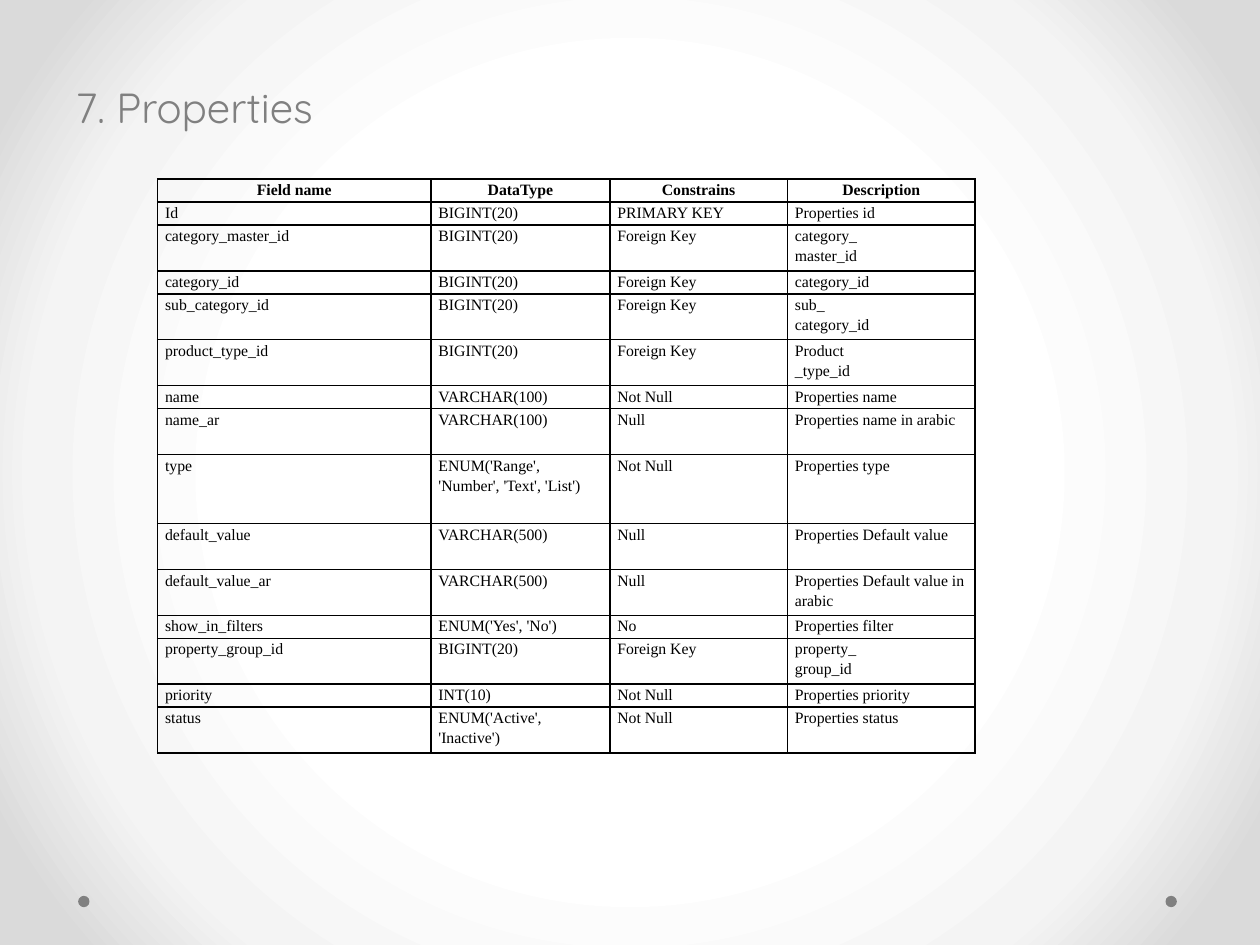
from lxml import etree
from pptx import Presentation
from pptx.dml.color import RGBColor
from pptx.enum.shapes import MSO_SHAPE
from pptx.enum.text import PP_ALIGN
from pptx.oxml.ns import qn
from pptx.util import Inches, Pt

OVAL = MSO_SHAPE.OVAL
LEFT, CENTER = PP_ALIGN.LEFT, PP_ALIGN.CENTER
TITLE_AND_CONTENT = 1

COLORS = {"center": "FFFFFF", "middle": "F4F4F4", "edge": "DADADA",
          "accent": "808080", "ink": "000000"}
FONTS = {"title": "Quicksand", "table": "Times New Roman"}
GRID_COLUMNS, GRID_ROWS = 100, 75

COLUMN_WIDTHS = [21.7, 14.2, 14.1, 14.9]
HEADER = ["Field name", "DataType", "Constrains", "Description"]
# Each field: the row's height in text lines, then its cells.
FIELDS = [
    (1, "Id", "BIGINT(20)", "PRIMARY KEY", "Properties id"),
    (2, "category_master_id", "BIGINT(20)", "Foreign Key", "category_\nmaster_id"),
    (1, "category_id", "BIGINT(20)", "Foreign Key", "category_id"),
    (2, "sub_category_id", "BIGINT(20)", "Foreign Key", "sub_\ncategory_id"),
    (2, "product_type_id", "BIGINT(20)", "Foreign Key", "Product\n_type_id"),
    (1, "name", "VARCHAR(100)", "Not Null", "Properties name"),
    (2, "name_ar", "VARCHAR(100)", "Null", "Properties name in arabic"),
    (3, "type", "ENUM('Range', 'Number', 'Text', 'List')", "Not Null", "Properties type"),
    (2, "default_value", "VARCHAR(500)", "Null", "Properties Default value"),
    (2, "default_value_ar", "VARCHAR(500)", "Null", "Properties Default value in arabic"),
    (1, "show_in_filters", "ENUM('Yes', 'No')", "No", "Properties filter"),
    (2, "property_group_id", "BIGINT(20)", "Foreign Key", "property_\ngroup_id"),
    (1, "priority", "INT(10)", "Not Null", "Properties priority"),
    (2, "status", "ENUM('Active', 'Inactive')", "Not Null", "Properties status"),
]


def write_text(frame, text, font, size, color, bold=False, align=LEFT, spacing=None):
    """Fill a text frame, one paragraph for each line of the text."""
    frame.text = text
    frame.word_wrap = True
    for paragraph in frame.paragraphs:
        paragraph.alignment = align
        paragraph.line_spacing = spacing
        for run in paragraph.runs:
            run.font.name = FONTS[font]
            run.font.size = Pt(size)
            run.font.bold = bold
            run.font.color.rgb = RGBColor.from_string(COLORS[color])


def add_element(parent, tag, **attributes):
    return etree.SubElement(parent, qn(tag), {k: str(v) for k, v in attributes.items()})


class SlideBuilder:
    def __init__(self, presentation):
        self.slide = presentation.slides.add_slide(
            presentation.slide_layouts[TITLE_AND_CONTENT])
        self.column = presentation.slide_width / GRID_COLUMNS
        self.row = presentation.slide_height / GRID_ROWS

    def box(self, left, top, width, height):
        """Turn grid columns and rows into slide lengths."""
        return (round(left * self.column), round(top * self.row),
                round(width * self.column), round(height * self.row))

    def radial_background(self, stops):
        self.slide.background.fill.gradient()
        gradient = self.slide.element.find(".//" + qn("a:gradFill"))
        for child in list(gradient):
            gradient.remove(child)
        stop_list = add_element(gradient, "a:gsLst")
        for percent, color in stops:
            stop = add_element(stop_list, "a:gs", pos=percent * 1000)
            add_element(stop, "a:srgbClr", val=COLORS[color])
        center = add_element(gradient, "a:path", path="circle")
        add_element(center, "a:fillToRect", l=50000, t=50000, r=50000, b=50000)

    def dot(self, left, top, size):
        shape = self.slide.shapes.add_shape(OVAL, *self.box(left, top, size, size))
        shape.shadow.inherit = False
        shape.fill.solid()
        shape.fill.fore_color.rgb = RGBColor.from_string(COLORS["accent"])
        shape.line.fill.background()

    def heading(self, text, *place):
        """Put the heading in the body placeholder, without a bullet."""
        title, body = self.slide.placeholders
        title.element.getparent().remove(title.element)
        body.left, body.top, body.width, body.height = self.box(*place)
        write_text(body.text_frame, text, "title", 24, "accent")
        properties = body.text_frame.paragraphs[0]._p.get_or_add_pPr()
        properties.set("marL", "0")
        properties.set("indent", "0")
        add_element(properties, "a:buNone")

    def border(self, cell):
        properties = cell._tc.get_or_add_tcPr()
        for index, side in enumerate(("a:lnL", "a:lnR", "a:lnT", "a:lnB")):
            line = etree.Element(qn(side), w=str(Pt(1)))
            fill = add_element(line, "a:solidFill")
            add_element(fill, "a:srgbClr", val=COLORS["ink"])
            properties.insert(index, line)

    def table(self, left, top, height):
        rows = [(1, *HEADER), *FIELDS]
        place = self.box(left, top, sum(COLUMN_WIDTHS), height)
        table = self.slide.shapes.add_table(len(rows), len(HEADER), *place).table
        table.first_row = table.horz_banding = False
        for column, width in zip(table.columns, COLUMN_WIDTHS):
            column.width = round(width * self.column)
        line_height = place[3] / sum(lines for lines, *_ in rows)
        for index, (lines, *texts) in enumerate(rows):
            table.rows[index].height = round(lines * line_height)
            is_header = index == 0
            for cell, text in zip(table.rows[index].cells, texts):
                cell.fill.background()
                cell.margin_left = cell.margin_right = Inches(0.06)
                cell.margin_top = cell.margin_bottom = 0
                write_text(cell.text_frame, text, "table", 9, "ink", bold=is_header,
                           align=CENTER if is_header else LEFT, spacing=1.15)
                self.border(cell)


def main():
    presentation = Presentation()
    presentation.slide_width, presentation.slide_height = Inches(10), Inches(7.5)
    builder = SlideBuilder(presentation)
    builder.radial_background([(50, "center"), (76, "middle"), (92, "edge")])
    for left in (92.5, 6.2):
        builder.dot(left, 71.1, 0.9)
    builder.heading("7. Properties", 5, 6, 90, 61)
    builder.table(12.5, 14.2, 45.6)
    presentation.save("out.pptx")


if __name__ == "__main__":
    main()
